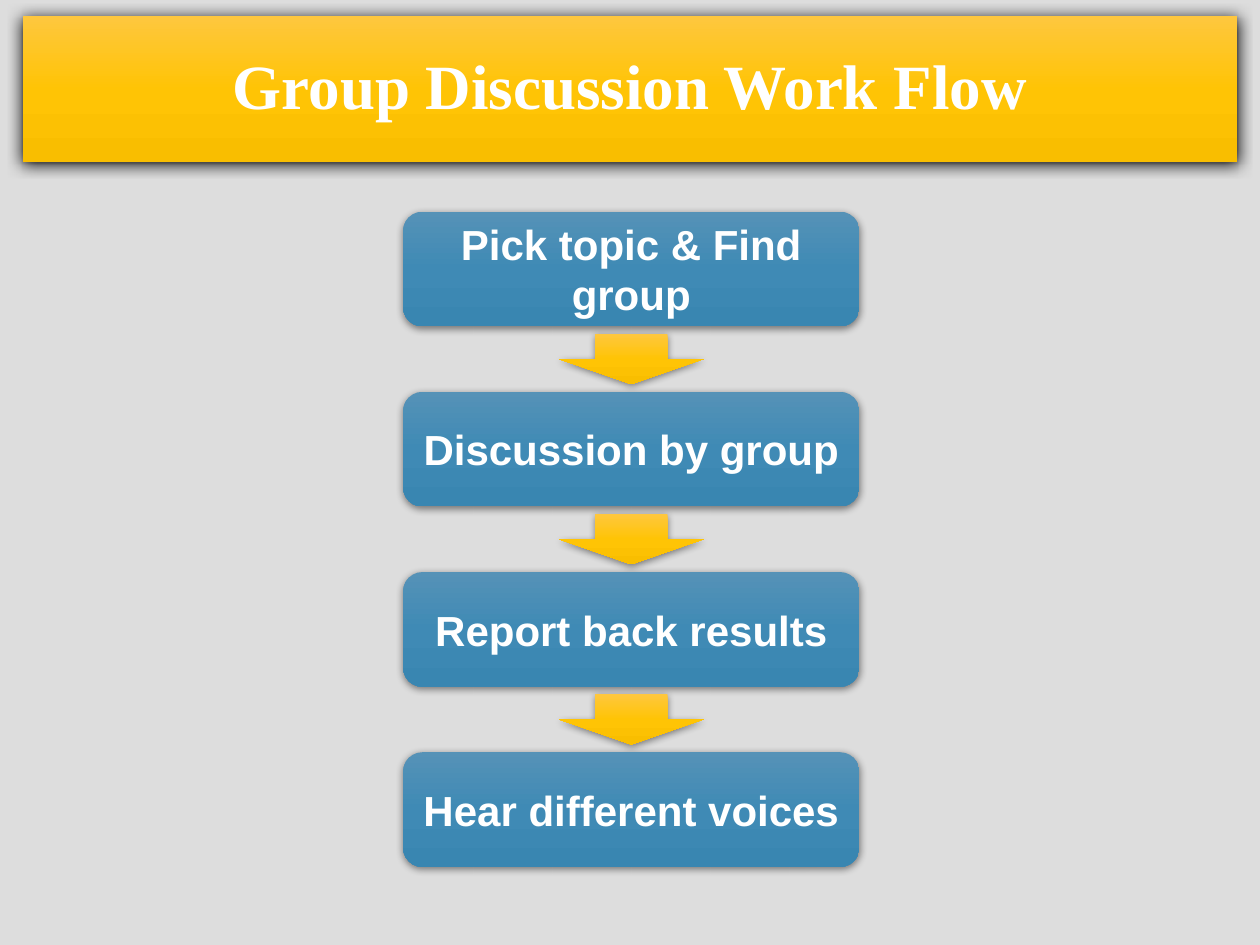
from lxml.etree import SubElement
from pptx import Presentation
from pptx.dml.color import RGBColor
from pptx.enum.shapes import MSO_SHAPE as Shape
from pptx.enum.text import MSO_ANCHOR as Anchor, PP_ALIGN as Align
from pptx.oxml.ns import qn
from pptx.util import Inches, Pt

COLORS = {
    "background": "DDDDDD",
    "text": "FFFFFF",
    "shadow": "000000",
    "gold": ("FEC73E", "FFC405", "F9BE00"),
    "blue": ("5592B7", "3F8AB5", "3986B1"),
}
STEPS = (
    "Pick topic & Find group",
    "Discussion by group",
    "Report back results",
    "Hear different voices",
)
STEP_LEFT, STEP_TOP, STEP_WIDTH, STEP_HEIGHT = 3.2, 1.68, 3.62, 0.91
STEP_PITCH = 1.43
ARROW_WIDTH, ARROW_HEIGHT = 1.15, 0.4


def add_color(parent, color):
    return SubElement(parent, qn("a:srgbClr"), val=color)


def fill_gradient(shape, colors):
    """Run evenly spaced colours from the top of the shape to its bottom."""
    shape.fill.gradient()
    shape.fill.gradient_angle = 270
    stops = shape.element.spPr.find(".//" + qn("a:gsLst"))
    for stop in list(stops):
        stops.remove(stop)
    for index, color in enumerate(colors):
        position = index * 100000 // (len(colors) - 1)
        add_color(SubElement(stops, qn("a:gs"), pos=str(position)), color)


def add_shadow(shape, blur, distance, opacity):
    """Drop a shadow straight down; lengths in points, opacity in percent."""
    shape.shadow.inherit = False
    effects = shape.element.spPr.find(qn("a:effectLst"))
    shadow = SubElement(effects, qn("a:outerShdw"), blurRad=str(Pt(blur)),
                        dist=str(Pt(distance)), dir="5400000", rotWithShape="0")
    color = add_color(shadow, COLORS["shadow"])
    SubElement(color, qn("a:alpha"), val=str(opacity * 1000))


def add_block(page, kind, bounds, colors, blur=4.4, distance=1.2, opacity=45):
    block = page.shapes.add_shape(kind, *map(Inches, bounds))
    fill_gradient(block, colors)
    block.line.fill.background()
    add_shadow(block, blur, distance, opacity)
    return block


def write_label(block, text, font_name, size):
    frame = block.text_frame
    frame.word_wrap = True
    frame.vertical_anchor = Anchor.MIDDLE
    para = frame.paragraphs[0]
    para.text = text
    para.alignment = Align.CENTER
    para.font.name = font_name
    para.font.size = Pt(size)
    para.font.bold = True
    para.font.color.rgb = RGBColor.from_string(COLORS["text"])
    return para


def add_title(page, text):
    banner = add_block(page, Shape.RECTANGLE, (0.18, 0.13, 9.64, 1.16),
                       COLORS["gold"], blur=8.5, distance=1, opacity=100)
    write_label(banner, text, "Times New Roman", 36).line_spacing = 0.9


def add_step(page, row, text):
    bounds = (STEP_LEFT, STEP_TOP + row * STEP_PITCH, STEP_WIDTH, STEP_HEIGHT)
    step = add_block(page, Shape.ROUNDED_RECTANGLE, bounds, COLORS["blue"])
    write_label(step, text, "Arial", 24)


def add_arrow(page, row):
    """Centre an arrow in the gap below the step in this row."""
    left = STEP_LEFT + (STEP_WIDTH - ARROW_WIDTH) / 2
    gap = STEP_PITCH - STEP_HEIGHT
    top = STEP_TOP + row * STEP_PITCH + STEP_HEIGHT + (gap - ARROW_HEIGHT) / 2
    add_block(page, Shape.DOWN_ARROW, (left, top, ARROW_WIDTH, ARROW_HEIGHT),
              COLORS["gold"])


def main():
    deck = Presentation()
    deck.slide_width, deck.slide_height = Inches(10), Inches(7.5)
    page = deck.slides.add_slide(deck.slide_layouts[6])
    page.background.fill.solid()
    page.background.fill.fore_color.rgb = RGBColor.from_string(COLORS["background"])

    add_title(page, "Group Discussion Work Flow")
    for row, text in enumerate(STEPS):
        add_step(page, row, text)
        if row < len(STEPS) - 1:
            add_arrow(page, row)
    deck.save("out.pptx")


if __name__ == "__main__":
    main()
